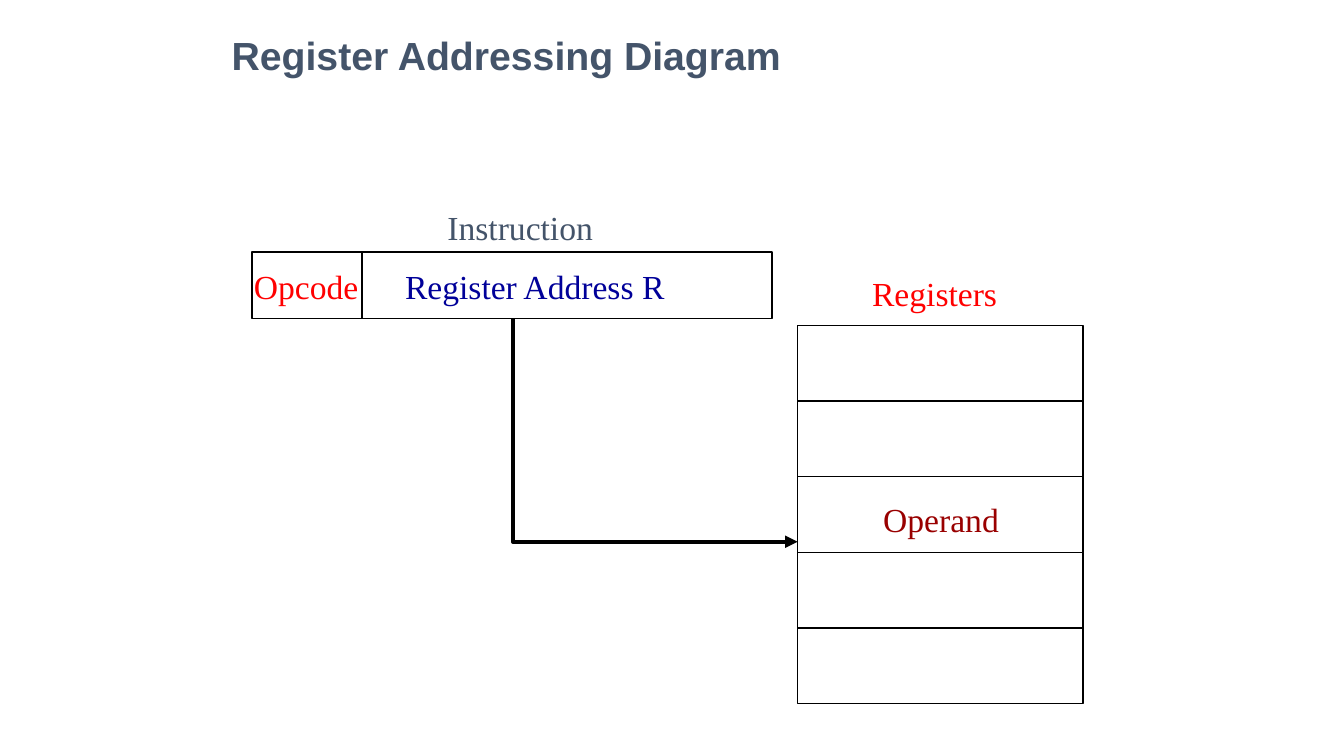
import pptx
import pptx.dml.color
import pptx.enum.shapes
import pptx.enum.text
import pptx.oxml
import pptx.oxml.ns
import pptx.util

deck = pptx.Presentation()
deck.slide_width = pptx.util.Inches(13.33)
deck.slide_height = pptx.util.Inches(7.5)
slide = deck.slides.add_slide(deck.slide_layouts[6])
column = deck.slide_width / 40
row = deck.slide_height / 30


def grid(x, y):
    return round(x * column), round(y * row)


def colour(hex_code):
    return pptx.dml.color.RGBColor.from_string(hex_code)


instruction_left, instruction_top = 7.5, 10
instruction_width, instruction_height = 15.48, 2.64
instruction_bottom = instruction_top + instruction_height
opcode_edge = 10.77
registers_left, registers_top = 23.74, 12.92
registers_width, register_height = 8.49, 3
register_count = 5
address_x, operand_y = 15.27, 21.5

cells = [(instruction_left, instruction_top, instruction_width, instruction_height)]
cells += [
    (registers_left, registers_top + index * register_height, registers_width, register_height)
    for index in range(register_count)
]
outlines = []
for left, top, width, height in cells:
    cell = slide.shapes.add_shape(
        pptx.enum.shapes.MSO_SHAPE.RECTANGLE, *grid(left, top), *grid(width, height)
    )
    cell.fill.background()
    cell.shadow.inherit = False
    outlines.append((cell, 1))

opcode_divider = slide.shapes.add_connector(
    pptx.enum.shapes.MSO_CONNECTOR.STRAIGHT,
    *grid(opcode_edge, instruction_top),
    *grid(opcode_edge, instruction_bottom),
)
opcode_divider._element.spPr.append(pptx.oxml.parse_xml(
    f"<a:effectLst {pptx.oxml.ns.nsdecls('a')}/>"
))
outlines.append((opcode_divider, 1))

route = slide.shapes.build_freeform(*grid(address_x, instruction_bottom))
route.add_line_segments(
    [grid(address_x, operand_y), grid(registers_left, operand_y)], close=False
)
operand_route = route.convert_to_shape()
operand_route.fill.background()
operand_route.shadow.inherit = False
outlines.append((operand_route, 3))

for outlined, thickness in outlines:
    outlined.line.color.rgb = colour("000000")
    outlined.line.width = pptx.util.Pt(thickness)
operand_route.line._get_or_add_ln().append(pptx.oxml.parse_xml(
    f"<a:tailEnd {pptx.oxml.ns.nsdecls('a')} type='triangle'/>"
))

title_font = {"name": "Arial", "size": pptx.util.Pt(28), "bold": True}
label_font = {"name": "Times New Roman", "size": pptx.util.Pt(24), "bold": False}
title_frame = {
    "word_wrap": True,
    "vertical_anchor": pptx.enum.text.MSO_ANCHOR.BOTTOM,
}
label_frame = {
    "word_wrap": False,
    "auto_size": pptx.enum.text.MSO_AUTO_SIZE.SHAPE_TO_FIT_TEXT,
}
captions = [
    ("Register Addressing Diagram", 6.6, 0.96, 27, 2.36, "44546A", title_font, title_frame),
    ("Register Address R", 11.76, 10.36, 8.4, 2, "000099", label_font, label_frame),
    ("Opcode", 7.26, 10.36, 3.75, 2, "FF0000", label_font, label_frame),
    ("Instruction", 13.02, 8, 4.98, 2, "44546A", label_font, label_frame),
    ("Registers", 25.66, 10.64, 4.35, 2, "FF0000", label_font, label_frame),
    ("Operand", 25.99, 19.6, 4.08, 2, "990000", label_font, label_frame),
]
for wording, left, top, width, height, ink, font_format, frame_format in captions:
    caption = slide.shapes.add_textbox(*grid(left, top), *grid(width, height)).text_frame
    for attribute, value in frame_format.items():
        setattr(caption, attribute, value)
    run = caption.paragraphs[0].add_run()
    run.text = wording
    for attribute, value in font_format.items():
        setattr(run.font, attribute, value)
    run.font.color.rgb = colour(ink)

deck.save("out.pptx")
